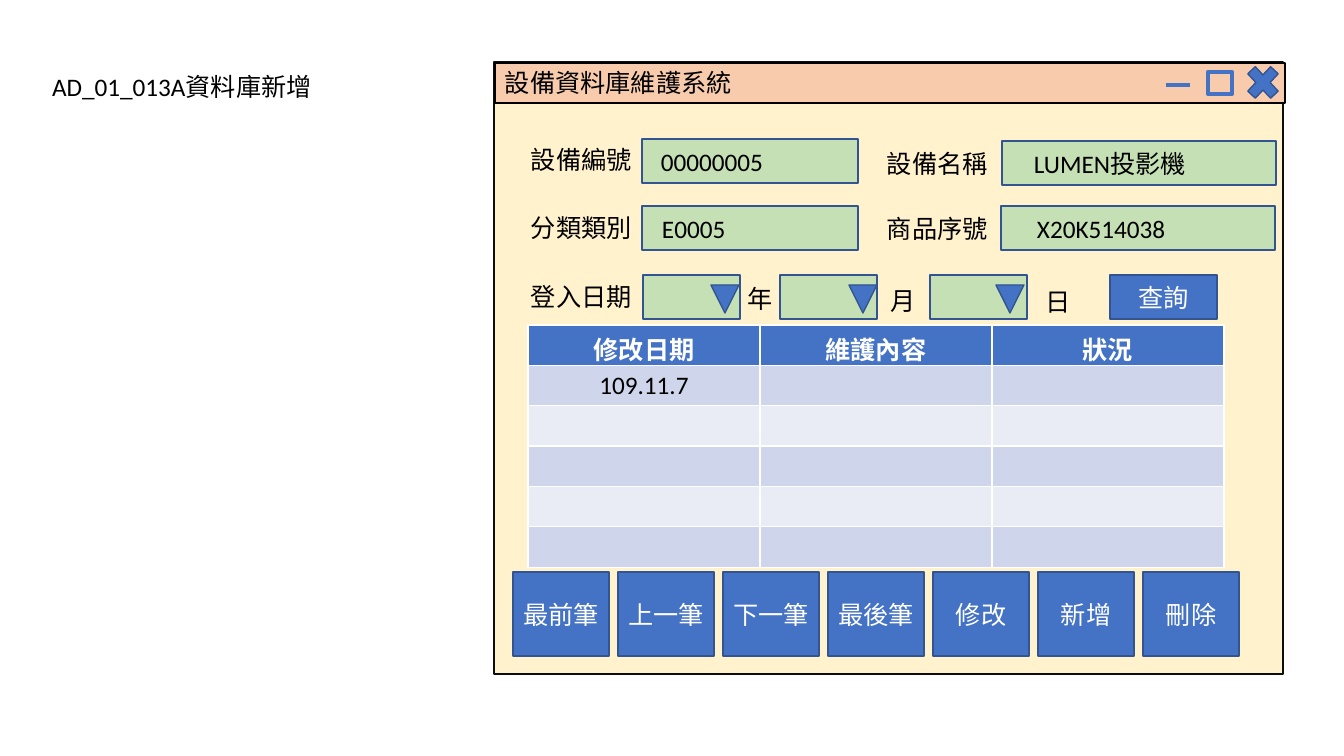
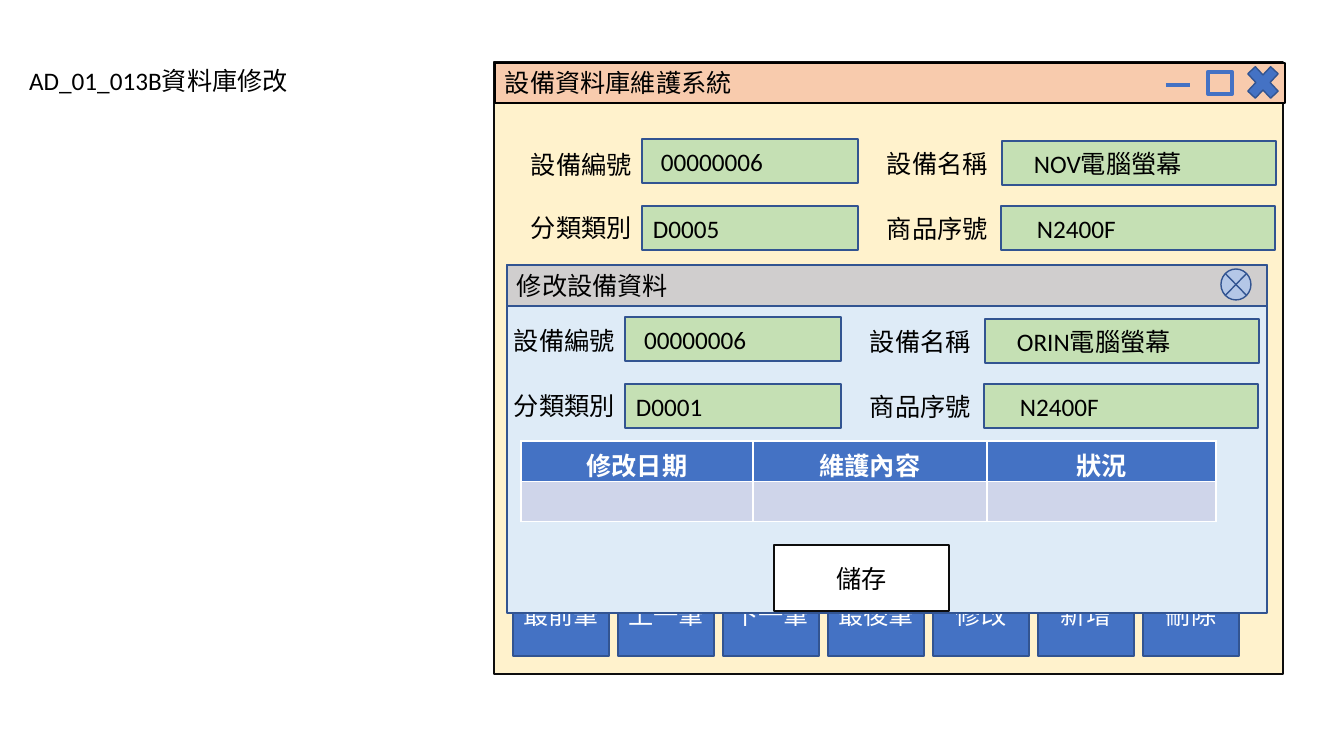
"""Build the two screens of the equipment database: add a record and edit a record."""
from lxml.etree import SubElement
from pptx import Presentation
from pptx.dml.color import RGBColor
from pptx.enum.shapes import MSO_CONNECTOR, MSO_SHAPE
from pptx.enum.text import MSO_ANCHOR, PP_ALIGN
from pptx.oxml.ns import qn
from pptx.util import Emu, Pt

PIXEL = 914400 / 100.8
COLORS = {
    "black": "000000", "white": "FFFFFF", "ink": "0D0D0D", "blue": "4472C4", "edge": "325491",
    "cream": "FFF2CC", "peach": "F8CBAD", "green": "C5E0B4", "pale": "DEEBF7", "gray": "D0CECE",
    "sky": "B4C7E7", "odd": "CFD5EA", "even": "E9EBF5",
}
RGB = {name: RGBColor.from_string(value) for name, value in COLORS.items()}
FONT = {"name": "Calibri", "size": Pt(18), "bold": False}
FRAME = {"word_wrap": True, "vertical_anchor": MSO_ANCHOR.TOP}
HEADINGS = ["修改日期", "維護內容", "狀況"]
BUTTONS = ["最前筆", "上一筆", "下一筆", "最後筆", "修改", "新增", "刪除"]
FIELDS = [
    ("設備編號", (521, 139), (642, 139, 216, 44)),
    ("設備名稱", (877, 143), (1002, 141, 274, 44)),
    ("分類類別", (521, 207), (642, 206, 216, 44)),
    ("商品序號", (877, 208), (1001, 206, 274, 44)),
]
SCREENS = [
    {
        "title": "AD_01_013A資料庫新增", "title_at": (42, 66),
        "panels": [{"shift": (0, 0), "number_drop": 0, "insets": (19, 32, 20, 36),
                    "values": ("00000005", "LUMEN投影機", "E0005", "X20K514038")}],
        "table": {"at": (528, 325), "columns": (232, 232, 232),
                  "rows": [HEADINGS, ["109.11.7", "", ""]] + [["", "", ""]] * 4},
    },
    {
        "title": "AD_01_013B資料庫修改", "title_at": (19, 60),
        "panels": [{"shift": (0, 0), "number_drop": 5, "insets": (19, 32, 11, 36),
                    "values": ("00000006", "NOV電腦螢幕", "D0005", "N2400F")},
                   {"shift": (-17, 178), "number_drop": 3, "insets": (19, 32, 11, 36),
                    "values": ("00000006", "ORIN電腦螢幕", "D0001", "N2400F")}],
        "table": {"at": (521, 441), "columns": (232, 234, 229),
                  "rows": [HEADINGS, ["", "", ""]]},
    },
]


def write(frame, text, color="black", align=PP_ALIGN.LEFT, **changes):
    for name, value in (FRAME | changes).items():
        setattr(frame, name, value)
    paragraph = frame.paragraphs[0]
    paragraph.alignment = align
    run = paragraph.add_run()
    run.text = text
    for name, value in FONT.items():
        setattr(run.font, name, value)
    run.font.color.rgb = RGB[color]


def box(shapes, place, fill, line="edge", preset=MSO_SHAPE.RECTANGLE, weight=1):
    shape = shapes.add_shape(preset, *[Emu(round(length * PIXEL)) for length in place])
    shape.shadow.inherit = False
    if fill:
        shape.fill.solid()
        shape.fill.fore_color.rgb = RGB[fill]
    else:
        shape.fill.background()
    shape.line.color.rgb = RGB[line]
    shape.line.width = Pt(weight)
    return shape


deck = Presentation()
deck.slide_width, deck.slide_height = Emu(round(1344 * PIXEL)), Emu(round(756 * PIXEL))

for screen in SCREENS:
    shapes = deck.slides.add_slide(deck.slide_layouts[5]).shapes
    title_place = (*screen["title_at"], 440, 40)
    for side, length in zip(("left", "top", "width", "height"), title_place):
        setattr(shapes.title, side, Emu(round(length * PIXEL)))
    write(shapes.title.text_frame, screen["title"])

    box(shapes, (494, 62, 789, 612), "cream", "ink")
    box(shapes, (495, 63, 790, 40), "peach", "black")
    minimize = shapes.add_connector(
        MSO_CONNECTOR.STRAIGHT, *[Emu(round(length * PIXEL)) for length in (1166, 85, 1190, 85)])
    minimize.line.color.rgb = RGB["blue"]
    minimize.line.width = Pt(3)
    SubElement(minimize._element.spPr, qn("a:effectLst"))
    box(shapes, (1208, 72, 24, 22), None, "blue", weight=3)
    box(shapes, (1241, 59, 44, 47), "blue", preset=MSO_SHAPE.MATH_MULTIPLY)
    labels = [("設備資料庫維護系統", (495, 62), 279)]

    for position, caption in enumerate(BUTTONS):
        button = box(shapes, (513 + 105 * position, 572, 96, 84), "blue")
        write(button.text_frame, caption, "white", PP_ALIGN.CENTER,
              vertical_anchor=MSO_ANCHOR.MIDDLE)

    for panel in screen["panels"]:
        across, down = panel["shift"]
        if down:
            box(shapes, (507, 265, 760, 348), "pale")
            box(shapes, (507, 265, 760, 41), "gray")
            box(shapes, (1221, 269, 30, 31), "sky", preset=MSO_SHAPE.FLOWCHART_SUMMING_JUNCTION)
            save = box(shapes, (774, 545, 175, 66), "white", "ink")
            write(save.text_frame, "儲存", align=PP_ALIGN.CENTER, vertical_anchor=MSO_ANCHOR.MIDDLE)
            labels.append(("修改設備資料", (507, 265), 411))
        for field, value, inset in zip(FIELDS, panel["values"], panel["insets"]):
            caption, (left, top), (box_left, box_top, width, height) = field
            drop = panel["number_drop"] if caption == "設備編號" else 0
            labels.append((caption, (left + across, top + down + drop), 150))
            entry = box(shapes, (box_left + across, box_top + down, width, height), "green")
            write(entry.text_frame, value, vertical_anchor=MSO_ANCHOR.MIDDLE,
                  margin_left=Emu(round(inset * PIXEL)))

    if len(screen["panels"]) == 1:
        labels.append(("登入日期", (521, 276), 150))
        for unit, left, arrow_left, unit_at in [("年", 643, 711, (738, 278)),
                                                ("月", 780, 849, (881, 280)),
                                                ("日", 930, 996, (1036, 281))]:
            box(shapes, (left, 275, 97, 44), "green")
            box(shapes, (arrow_left, 285, 28, 28), "blue", preset=MSO_SHAPE.FLOWCHART_MERGE)
            labels.append((unit, unit_at, 36))
        query = box(shapes, (1110, 275, 107, 44), "blue")
        write(query.text_frame, "查詢", "white", PP_ALIGN.CENTER, vertical_anchor=MSO_ANCHOR.MIDDLE)

    for caption, (left, top), width in labels:
        label = shapes.add_textbox(*[Emu(round(length * PIXEL)) for length in (left, top, width, 40)])
        write(label.text_frame, caption)

    history = screen["table"]
    rows, columns = history["rows"], history["columns"]
    table_place = (*history["at"], sum(columns), 40 * len(rows))
    table = shapes.add_table(len(rows), len(columns),
                             *[Emu(round(length * PIXEL)) for length in table_place]).table
    for column, width in zip(table.columns, columns):
        column.width = Emu(round(width * PIXEL))
    for row_number, row in enumerate(rows):
        for column_number, text in enumerate(row):
            cell = table.cell(row_number, column_number)
            cell.fill.solid()
            cell.fill.fore_color.rgb = RGB[
                "blue" if row_number == 0 else "odd" if row_number % 2 else "even"]
            if text:
                write(cell.text_frame, text, "black" if row_number else "white", PP_ALIGN.CENTER)
                cell.text_frame.paragraphs[0].runs[0].font.bold = row_number == 0

deck.save("out.pptx")
